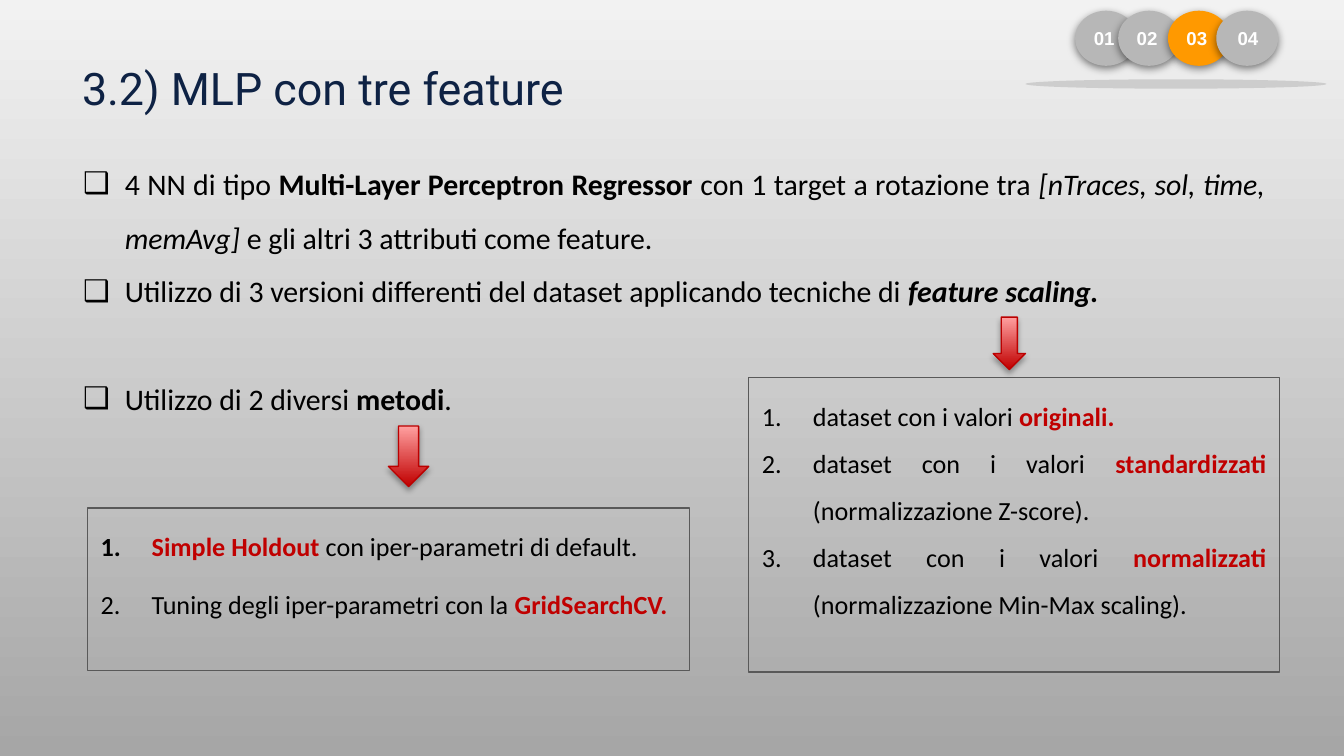
"""Build the slide on the three-feature MLP experiments."""
import pptx
import pptx.dml.color
import pptx.enum.shapes
import pptx.enum.text
import pptx.oxml
import pptx.oxml.ns
import pptx.util

Inches = pptx.util.Inches
Pt = pptx.util.Pt
Shapes = pptx.enum.shapes.MSO_SHAPE
Align = pptx.enum.text.PP_ALIGN
NAMESPACE = pptx.oxml.ns.nsdecls("a")
COLORS = {
    "top": "F2F2F2", "bottom": "A6A6A6", "title": "0E2244", "text": "000000",
    "white": "FFFFFF", "accent": "C00000", "pale_red": "FFA0A0", "arrow_line": "BC0000",
    "badge": "B7B7B7", "current": "FF9900", "gray": "595959",
}
BADGES = [("01", 8.0, 8.04), ("02", 8.32, 8.36), ("03", 8.69, 8.73), ("04", 9.05, 9.11)]
CURRENT = "03"
POINTS = [
    [("4 NN di tipo ", ""), ("Multi-Layer Perceptron Regressor", "bold"),
     (" con 1 target a rotazione tra ", ""), ("[nTraces, sol, time, memAvg]", "italic"),
     (" e gli altri 3 attributi come feature.", "")],
    [("Utilizzo di 3 versioni differenti del dataset applicando tecniche di ", ""),
     ("feature scaling.", "bold italic")],
    [("Utilizzo di 2 diversi ", ""), ("metodi", "bold"), (".", "")],
]
DATASETS = [
    [("dataset con i valori ", ""), ("originali.", "bold accent")],
    [("dataset con i valori ", ""), ("standardizzati", "bold accent"),
     (" (normalizzazione Z-score).", "")],
    [("dataset con i valori ", ""), ("normalizzati", "bold accent"),
     (" (normalizzazione Min-Max scaling).", "")],
]
METHODS = [
    [("Simple Holdout ", "bold accent"), ("con iper-parametri di default.", "")],
    [("Tuning degli iper-parametri con la ", ""), ("GridSearchCV.", "bold accent")],
]


def rgb(name):
    return pptx.dml.color.RGBColor.from_string(COLORS[name])


def set_gradient(fill, first, last, angle):
    fill.gradient()
    fill.gradient_angle = angle
    for stop, name in zip(fill.gradient_stops, (first, last)):
        stop.color.rgb = rgb(name)


def format_run(run, size, font, color, bold=False, italic=False):
    run.font.size = Pt(size)
    run.font.name = font
    run.font.color.rgb = rgb(color)
    run.font.bold = bold
    run.font.italic = italic


def add_shape(slide, kind, box, line=None):
    shape = slide.shapes.add_shape(kind, *map(Inches, box))
    shape.shadow.inherit = False
    shape.fill.background()
    if line:
        shape.line.color.rgb = rgb(line)
        shape.line.width = Pt(0.75)
    else:
        shape.line.fill.background()
    return shape


def add_shadow(shape, opacity, blur, distance):
    effects = shape._element.spPr.find(pptx.oxml.ns.qn("a:effectLst"))
    effects.append(pptx.oxml.parse_xml(
        f'<a:outerShdw {NAMESPACE} blurRad="{Pt(blur)}" dist="{Pt(distance)}" dir="5400000" '
        f'rotWithShape="0"><a:srgbClr val="000000"><a:alpha val="{opacity * 1000}"/>'
        '</a:srgbClr></a:outerShdw>'))


def add_label(slide, text, box, size, font, color, bold=False, align=Align.LEFT):
    frame = slide.shapes.add_textbox(*map(Inches, box)).text_frame
    frame.word_wrap = True
    frame.margin_left = frame.margin_right = Inches(0.07)
    frame.margin_top = frame.margin_bottom = Inches(0.04)
    frame.text = text
    paragraph = frame.paragraphs[0]
    paragraph.alignment = align
    format_run(paragraph.runs[0], size, font, color, bold)


def add_badge(slide, number, left):
    badge = add_shape(slide, Shapes.OVAL, (left, 0.08, 0.46, 0.41))
    badge.fill.solid()
    badge.fill.fore_color.rgb = rgb("current" if number == CURRENT else "badge")
    add_shadow(badge, 50, 4.5, 1.5)


def add_base(slide):
    base = add_shape(slide, Shapes.OVAL, (7.63, 0.59, 2.24, 0.07))
    base.fill.solid()
    base.fill.fore_color.rgb = rgb("gray")
    color = base._element.spPr.find(".//" + pptx.oxml.ns.qn("a:srgbClr"))
    color.append(pptx.oxml.parse_xml(f'<a:alpha {NAMESPACE} val="10000"/>'))


def add_arrow(slide, box):
    arrow = add_shape(slide, Shapes.DOWN_ARROW, box, "arrow_line")
    set_gradient(arrow.fill, "accent", "pale_red", 90)
    add_shadow(arrow, 35, 3.1, 1.8)


def set_bullet(paragraph, indent, marker):
    properties = paragraph._p.get_or_add_pPr()
    properties.set("marL", str(Inches(indent)))
    properties.set("indent", str(-Inches(indent)))
    color = f'<a:buClr {NAMESPACE}><a:srgbClr val="{COLORS["text"]}"/></a:buClr>'
    for xml in (color, f'<a:buFont {NAMESPACE} typeface="Arial"/>', marker):
        properties.append(pptx.oxml.parse_xml(xml))


def fill_list(shape, items, size, indent, marker):
    frame = shape.text_frame
    frame.word_wrap = True
    frame.vertical_anchor = pptx.enum.text.MSO_ANCHOR.TOP
    for index, item in enumerate(items):
        paragraph = frame.add_paragraph() if index else frame.paragraphs[0]
        paragraph.alignment = Align.JUSTIFY
        paragraph.line_spacing = 1.5
        for text, style in item:
            run = paragraph.add_run()
            run.text = text
            color = "accent" if "accent" in style else "text"
            format_run(run, size, "Calibri", color, "bold" in style, "italic" in style)
        set_bullet(paragraph, indent, marker)
    return frame.paragraphs


def add_numbered_box(slide, items, box):
    shape = add_shape(slide, Shapes.RECTANGLE, box, "gray")
    marker = f'<a:buAutoNum {NAMESPACE} type="arabicPeriod"/>'
    return fill_list(shape, items, 14, 0.38, marker)


def add_points(slide):
    shape = slide.shapes.add_textbox(*map(Inches, (0.52, 1.05, 8.99, 2.08)))
    paragraphs = fill_list(shape, POINTS, 16, 0.31, f'<a:buChar {NAMESPACE} char="❑"/>')
    paragraphs[-1].space_before = Pt(29)


def main():
    presentation = pptx.Presentation()
    presentation.slide_width = Inches(10)
    presentation.slide_height = Inches(10) * 9 // 16
    slide = presentation.slides.add_slide(presentation.slide_layouts[6])
    set_gradient(slide.background.fill, "top", "bottom", 270)

    add_label(slide, "3.2) MLP con tre feature", (0.54, 0.41, 7.19, 0.71), 24, "Roboto", "title")
    add_base(slide)
    for number, left, _ in BADGES:
        add_badge(slide, number, left)
    add_base(slide)
    for number, _, left in BADGES:
        add_label(slide, number, (left, 0.16, 0.35, 0.25), 10, "Arial", "white",
                  True, Align.CENTER)

    add_points(slide)
    add_numbered_box(slide, DATASETS, (5.57, 2.81, 3.95, 2.19))
    for paragraph in add_numbered_box(slide, METHODS, (0.65, 3.78, 4.48, 1.21)):
        paragraph.space_after = Pt(6)
    add_arrow(slide, (2.89, 3.17, 0.3, 0.45))
    add_arrow(slide, (7.39, 2.36, 0.24, 0.39))
    presentation.save("out.pptx")


if __name__ == "__main__":
    main()
